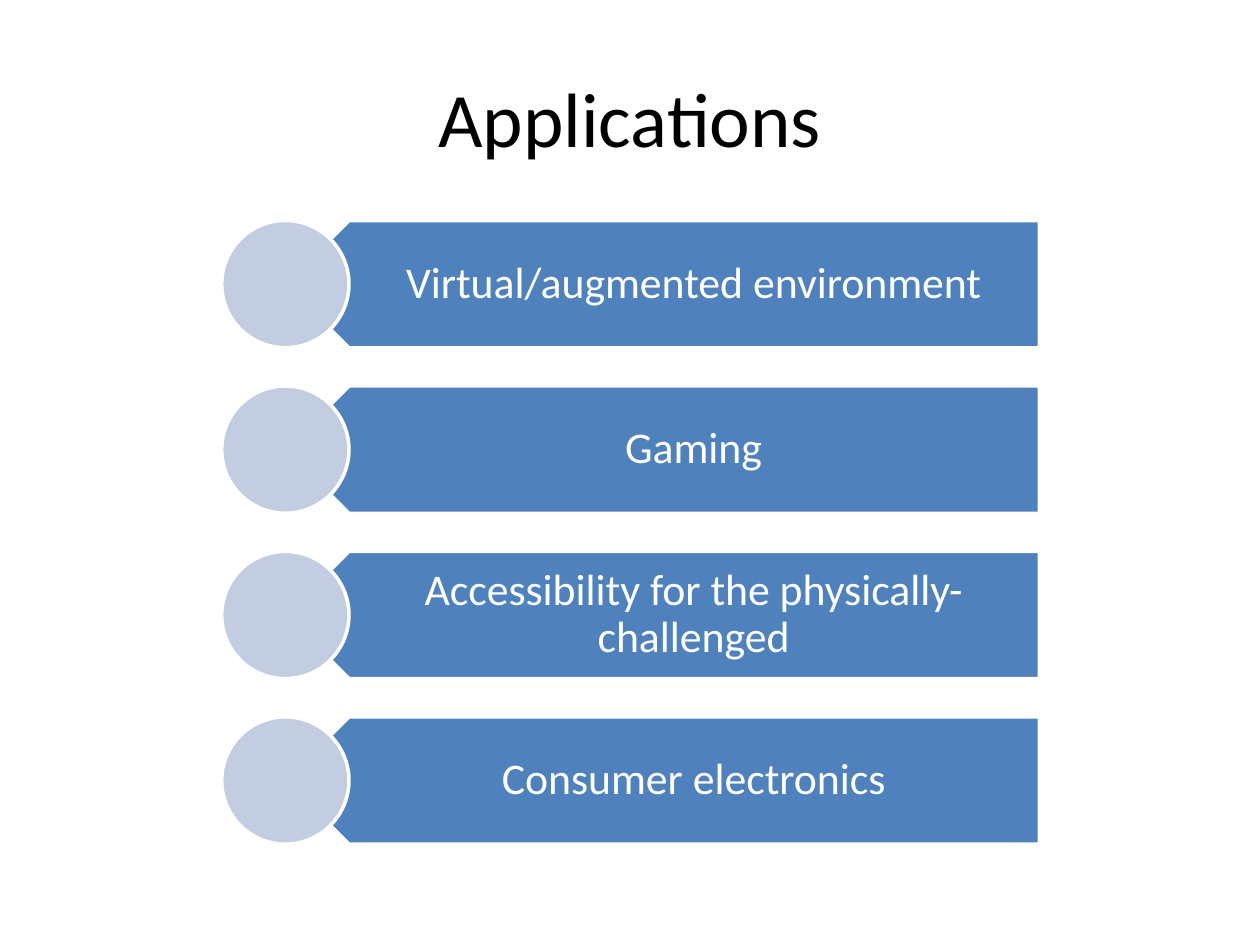
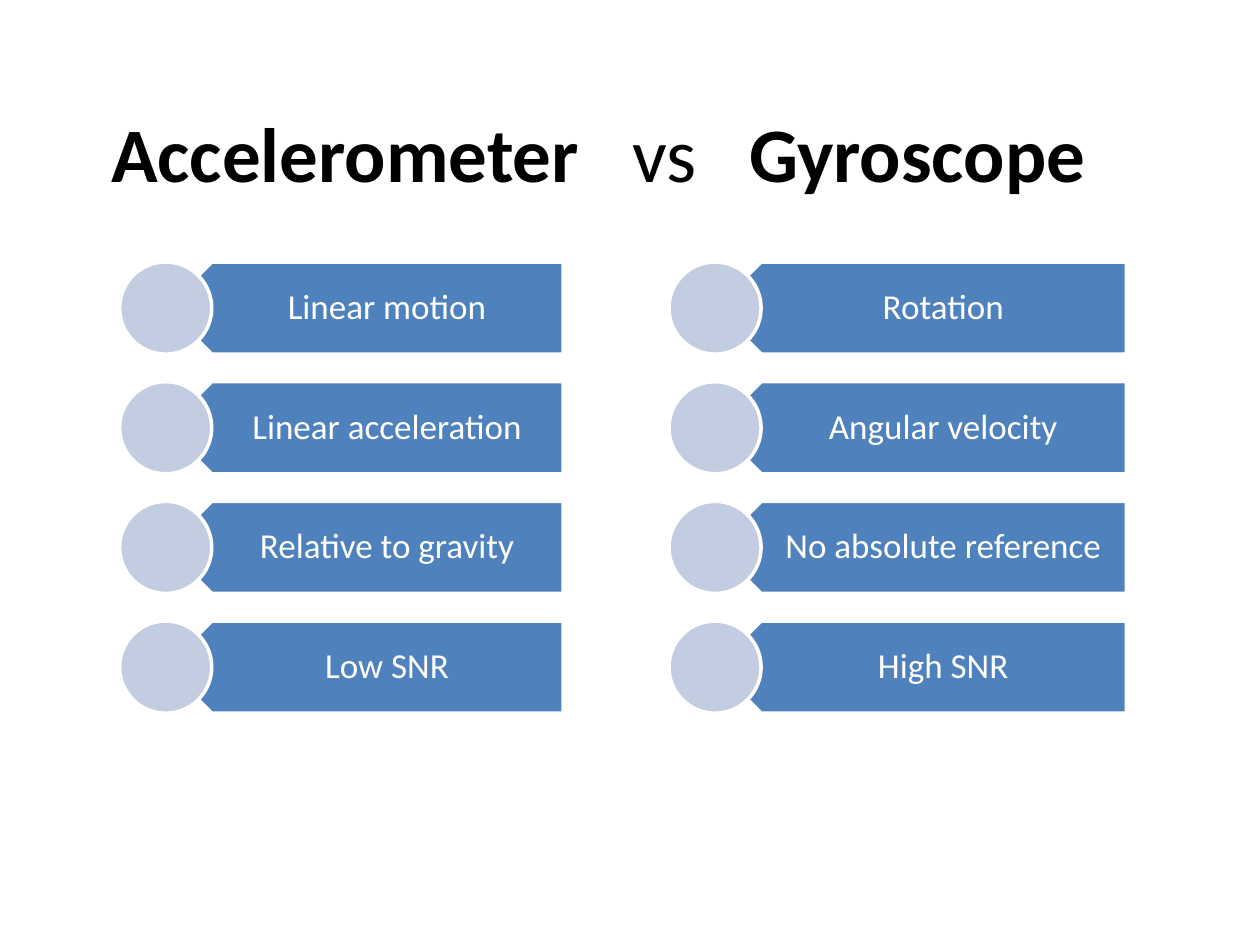
from pptx import Presentation
from pptx import util as u
from pptx.dml.color import RGBColor
from pptx.enum import shapes, text

BLACK = RGBColor(0x00, 0x00, 0x00)
WHITE = RGBColor(0xFF, 0xFF, 0xFF)
BLUE = RGBColor(0x4F, 0x81, 0xBD)
PALE_BLUE = RGBColor(0xC2, 0xCD, 0xE1)
FONT = "Calibri"
TITLE_ONLY = 5
PITCH = 1.3
INSETS = {"left": 0.44, "top": 0.1, "right": 0.2, "bottom": 0.1}


def add_span(para, words, size, color, bold=False):
    """Append a formatted run to a paragraph and return it."""
    span = para.add_run()
    span.text = words
    formats = {"name": FONT, "size": u.Pt(size), "bold": bold}
    for name, value in formats.items():
        setattr(span.font, name, value)
    span.font.color.rgb = color
    return span


def set_title(page, box, parts, gap=0):
    """Place the title and write its parts, widening blank parts by gap points."""
    title = page.shapes.title
    for name, value in zip(("left", "top", "width", "height"), box):
        setattr(title, name, u.Inches(value))
    title.text_frame.vertical_anchor = text.MSO_ANCHOR.MIDDLE
    para = title.text_frame.paragraphs[0]
    para.alignment = text.PP_ALIGN.CENTER
    for words, bold in parts:
        span = add_span(para, words, 44, BLACK, bold)
        if words == " ":
            span._r.get_or_add_rPr().set("spc", str(gap * 100))


def add_outlined(group, preset, box, color):
    """Add a filled shape with the shared white outline."""
    shape = group.shapes.add_shape(preset, *map(u.Inches, box))
    shape.shadow.inherit = False
    shape.fill.solid()
    shape.fill.fore_color.rgb = color
    shape.line.color.rgb = WHITE
    shape.line.width = u.Pt(2)
    return shape


def add_label(group, box, words, size):
    """Add centred text whose insets scale with the height of its box."""
    label = group.shapes.add_textbox(*map(u.Inches, box))
    frame = label.text_frame
    formats = {"word_wrap": True, "vertical_anchor": text.MSO_ANCHOR.MIDDLE}
    for side, ratio in INSETS.items():
        formats[f"margin_{side}"] = u.Inches(ratio * box[3])
    for name, value in formats.items():
        setattr(frame, name, value)
    para = frame.paragraphs[0]
    para.alignment = text.PP_ALIGN.CENTER
    para.line_spacing = 0.9
    add_span(para, words, size, WHITE)


def add_circle_list(page, box, items, size):
    """Stack banners with a circle at their left end inside the given box."""
    left, top, width, height = box
    diameter = height / (1 + PITCH * (len(items) - 1))
    group = page.shapes.add_group_shape()
    for index, words in enumerate(items):
        y = top + index * PITCH * diameter
        banner_box = (left + diameter / 2, y, width - diameter / 2, diameter)
        label_box = (left + diameter * 0.75, y, width - diameter * 0.75, diameter)
        banner = add_outlined(group, shapes.MSO_SHAPE.PENTAGON, banner_box, BLUE)
        banner.rotation = 180
        add_label(group, label_box, words, size)
        circle_box = (left, y, diameter, diameter)
        add_outlined(group, shapes.MSO_SHAPE.OVAL, circle_box, PALE_BLUE)


def add_applications(deck):
    """Build the slide that lists the applications."""
    page = deck.slides.add_slide(deck.slide_layouts[TITLE_ONLY])
    set_title(page, (0.5, 0.3, 9, 1.25), [("Applications", False)])
    items = ["Virtual/augmented environment", "Gaming",
             "Accessibility for the physically-challenged", "Consumer electronics"]
    add_circle_list(page, (1.76, 1.75, 6.49, 4.95), items, 25)


def add_comparison(deck):
    """Build the slide that sets the two sensors side by side."""
    page = deck.slides.add_slide(deck.slide_layouts[TITLE_ONLY])
    parts = [("Accelerometer", True), (" ", False), ("vs", False),
             (" ", False), ("Gyroscope", True)]
    set_title(page, (0.25, 0.58, 9, 1.25), parts, gap=20)
    accelerometer = ["Linear motion", "Linear acceleration",
                     "Relative to gravity", "Low SNR"]
    gyroscope = ["Rotation", "Angular velocity", "No absolute reference", "High SNR"]
    add_circle_list(page, (0.95, 2.08, 3.52, 3.58), accelerometer, 20)
    add_circle_list(page, (5.31, 2.08, 3.63, 3.58), gyroscope, 20)


def main():
    """Build and save the deck."""
    deck = Presentation()
    deck.slide_width = u.Inches(10)
    deck.slide_height = u.Inches(7.5)
    add_applications(deck)
    add_comparison(deck)
    deck.save("out.pptx")


if __name__ == "__main__":
    main()
